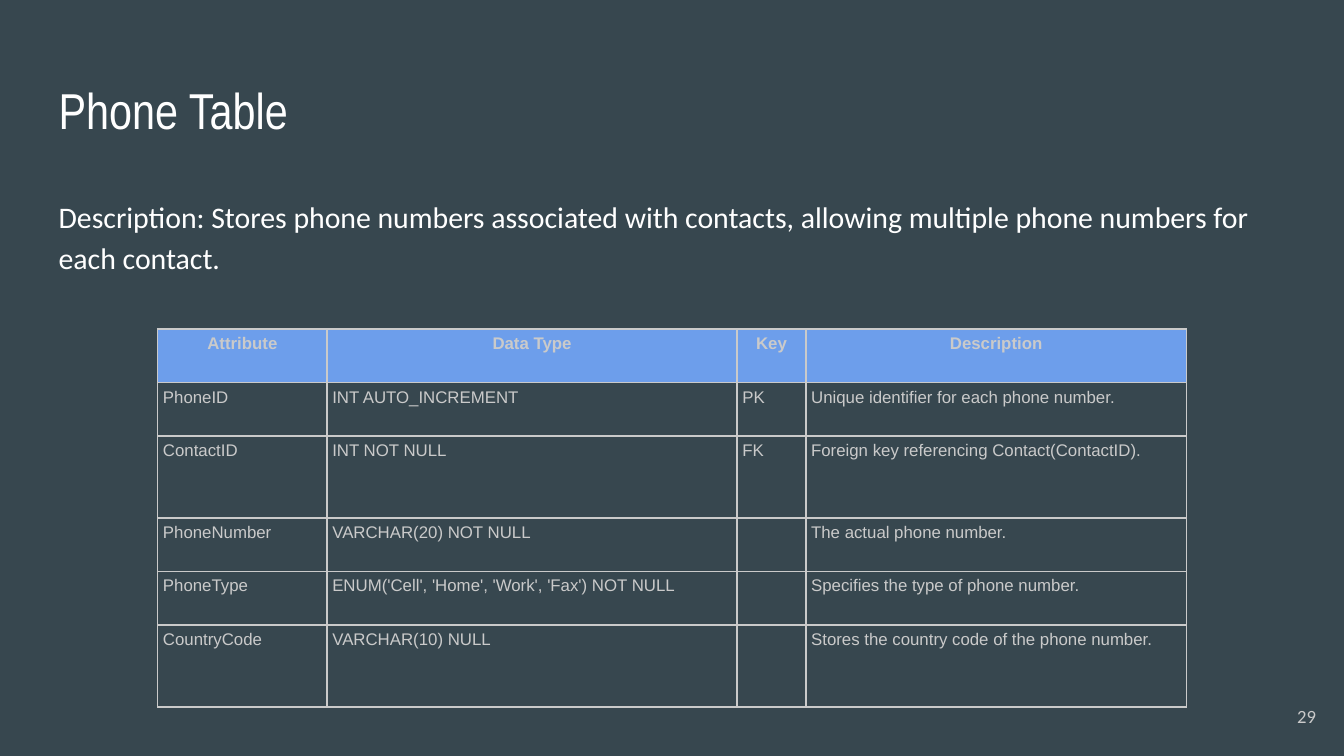
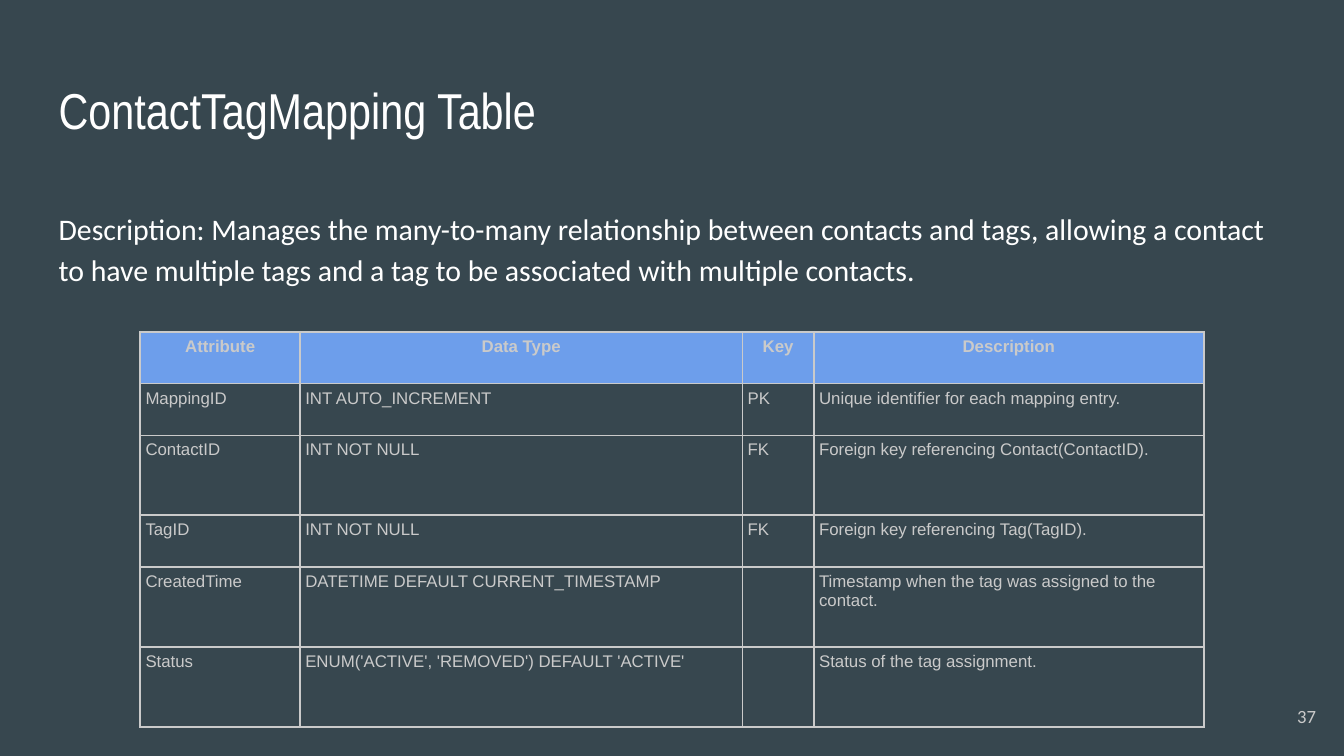
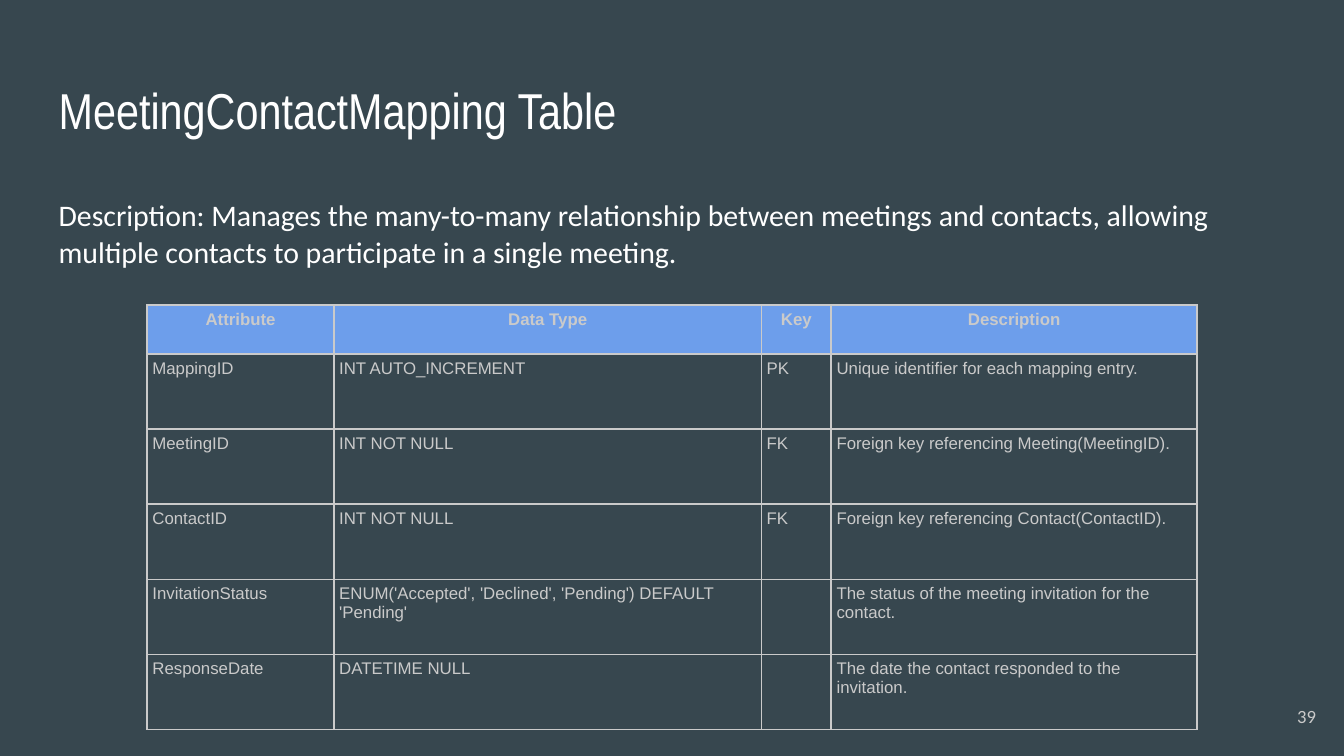
import pptx
import pptx.dml.color
import pptx.enum.text
import pptx.oxml
import pptx.oxml.ns
import pptx.util

Cm, Pt = pptx.util.Cm, pptx.util.Pt
ALIGN = pptx.enum.text.PP_ALIGN
ANCHOR = pptx.enum.text.MSO_ANCHOR

COLORS = {"back": "37474F", "text": "FFFFFF", "muted": "CACACA", "head": "6D9EEB"}
WIDE, HIGH = 25.4, 14.29
TITLE = (0.86, 1.24, 23.67, 1.6)
NUMBER = (23.6, 13, 1.52, 1.09)
HEADER = ("Attribute", "Data Type", "Key", "Description")

SLIDES = [
    {
        "title": "Phone Table",
        "about": "Description: Stores phone numbers associated with contacts, "
                 "allowing multiple phone numbers for each contact.",
        "box": (0.86, 3.4, 23.67, 2.82),
        "lead": 1.15,
        "top": 6.22,
        "cols": (3.2, 7.75, 1.3, 7.19),
        "rows": (1.01, 1.01, 1.55, 1.01, 1.01, 1.55),
        "cells": [
            ("PhoneID", "INT AUTO_INCREMENT", "PK",
             "Unique identifier for each phone number."),
            ("ContactID", "INT NOT NULL", "FK",
             "Foreign key referencing Contact(ContactID)."),
            ("PhoneNumber", "VARCHAR(20) NOT NULL", "", "The actual phone number."),
            ("PhoneType", "ENUM('Cell', 'Home', 'Work', 'Fax') NOT NULL", "",
             "Specifies the type of phone number."),
            ("CountryCode", "VARCHAR(10) NULL", "",
             "Stores the country code of the phone number."),
        ],
        "number": 29,
    },
    {
        "title": "ContactTagMapping Table",
        "about": "Description: Manages the many-to-many relationship between contacts "
                 "and tags, allowing a contact to have multiple tags and a tag to be "
                 "associated with multiple contacts.",
        "box": (0.86, 3.63, 23.67, 4.27),
        "lead": 1.15,
        "top": 6.27,
        "cols": (3.02, 8.36, 1.35, 7.37),
        "rows": (0.98, 0.98, 1.51, 0.98, 1.51, 1.51),
        "cells": [
            ("MappingID", "INT AUTO_INCREMENT", "PK",
             "Unique identifier for each mapping entry."),
            ("ContactID", "INT NOT NULL", "FK",
             "Foreign key referencing Contact(ContactID)."),
            ("TagID", "INT NOT NULL", "FK", "Foreign key referencing Tag(TagID)."),
            ("CreatedTime", "DATETIME DEFAULT CURRENT_TIMESTAMP", "",
             "Timestamp when the tag was assigned to the contact."),
            ("Status", "ENUM('ACTIVE', 'REMOVED') DEFAULT 'ACTIVE'", "",
             "Status of the tag assignment."),
        ],
        "number": 37,
    },
    {
        "title": "MeetingContactMapping Table",
        "about": "Description: Manages the many-to-many relationship between meetings "
                 "and contacts, allowing multiple contacts to participate in a single "
                 "meeting.",
        "box": (0.86, 3.43, 23.67, 2.95),
        "lead": 1.05,
        "top": 5.77,
        "cols": (3.53, 8.08, 1.32, 6.91),
        "rows": (0.92,) + (1.42,) * 5,
        "cells": [
            ("MappingID", "INT AUTO_INCREMENT", "PK",
             "Unique identifier for each mapping entry."),
            ("MeetingID", "INT NOT NULL", "FK",
             "Foreign key referencing Meeting(MeetingID)."),
            ("ContactID", "INT NOT NULL", "FK",
             "Foreign key referencing Contact(ContactID)."),
            ("InvitationStatus",
             "ENUM('Accepted', 'Declined', 'Pending') DEFAULT 'Pending'", "",
             "The status of the meeting invitation for the contact."),
            ("ResponseDate", "DATETIME NULL", "",
             "The date the contact responded to the invitation."),
        ],
        "number": 39,
    },
]


def paint(fill, color):
    fill.solid()
    fill.fore_color.rgb = pptx.dml.color.RGBColor.from_string(COLORS[color])


def style(font, face, size, color, bold=False):
    font.name, font.size, font.bold = face, Pt(size), bold
    paint(font.fill, color)


def pad(item, gap):
    """Set the same margin on all sides of a cell or text frame."""
    item.margin_left = item.margin_top = Cm(gap)
    item.margin_right = item.margin_bottom = Cm(gap)


def add_text(slide, box, text, face, size, color="text", lead=1.0,
             align=ALIGN.LEFT, anchor=ANCHOR.TOP):
    frame = slide.shapes.add_textbox(*map(Cm, box)).text_frame
    frame.word_wrap = True
    frame.vertical_anchor = anchor
    pad(frame, 0.25)
    frame.text = text
    para = frame.paragraphs[0]
    para.alignment, para.line_spacing = align, lead
    style(para.runs[0].font, face, size, color)


def add_edges(cell):
    props = cell._tc.get_or_add_tcPr()
    for side in "LRTB":
        props.append(pptx.oxml.parse_xml(
            f'<a:ln{side} {pptx.oxml.ns.nsdecls("a")} w="{Pt(1)}"><a:solidFill>'
            f'<a:srgbClr val="{COLORS["muted"]}"/></a:solidFill></a:ln{side}>'))


def fill_cell(cell, text, head):
    pad(cell, 0.1)
    add_edges(cell)
    if head:
        paint(cell.fill, "head")
    else:
        cell.fill.background()
    if not text:
        return
    cell.text = text
    para = cell.text_frame.paragraphs[0]
    para.space_before = Pt(3)
    para.alignment = ALIGN.CENTER if head else ALIGN.LEFT
    style(para.runs[0].font, "Arial", 9, "muted", head)


def add_grid(slide, top, cols, rows, cells):
    """Place the attribute table, centred across the slide."""
    wide, high = sum(cols), sum(rows)
    table = slide.shapes.add_table(len(rows), len(cols), Cm((WIDE - wide) / 2),
                                   Cm(top), Cm(wide), Cm(high)).table
    table.horz_banding = False
    for col, size in zip(table.columns, cols):
        col.width = Cm(size)
    for row, size in zip(table.rows, rows):
        row.height = Cm(size)
    for r, line in enumerate([HEADER, *cells]):
        for c, text in enumerate(line):
            fill_cell(table.cell(r, c), text, r == 0)


def add_page(deck, page):
    slide = deck.slides.add_slide(deck.slide_layouts[6])
    add_text(slide, TITLE, page["title"], "Arial Narrow", 27)
    add_text(slide, page["box"], page["about"], "Calibri", 16, lead=page["lead"])
    add_grid(slide, page["top"], page["cols"], page["rows"], page["cells"])
    add_text(slide, NUMBER, str(page["number"]), "Calibri", 10, "muted",
             align=ALIGN.RIGHT, anchor=ANCHOR.MIDDLE)


def main():
    deck = pptx.Presentation()
    deck.slide_width, deck.slide_height = Cm(WIDE), Cm(HIGH)
    paint(deck.slide_master.background.fill, "back")
    for page in SLIDES:
        add_page(deck, page)
    deck.save("out.pptx")


if __name__ == "__main__":
    main()
